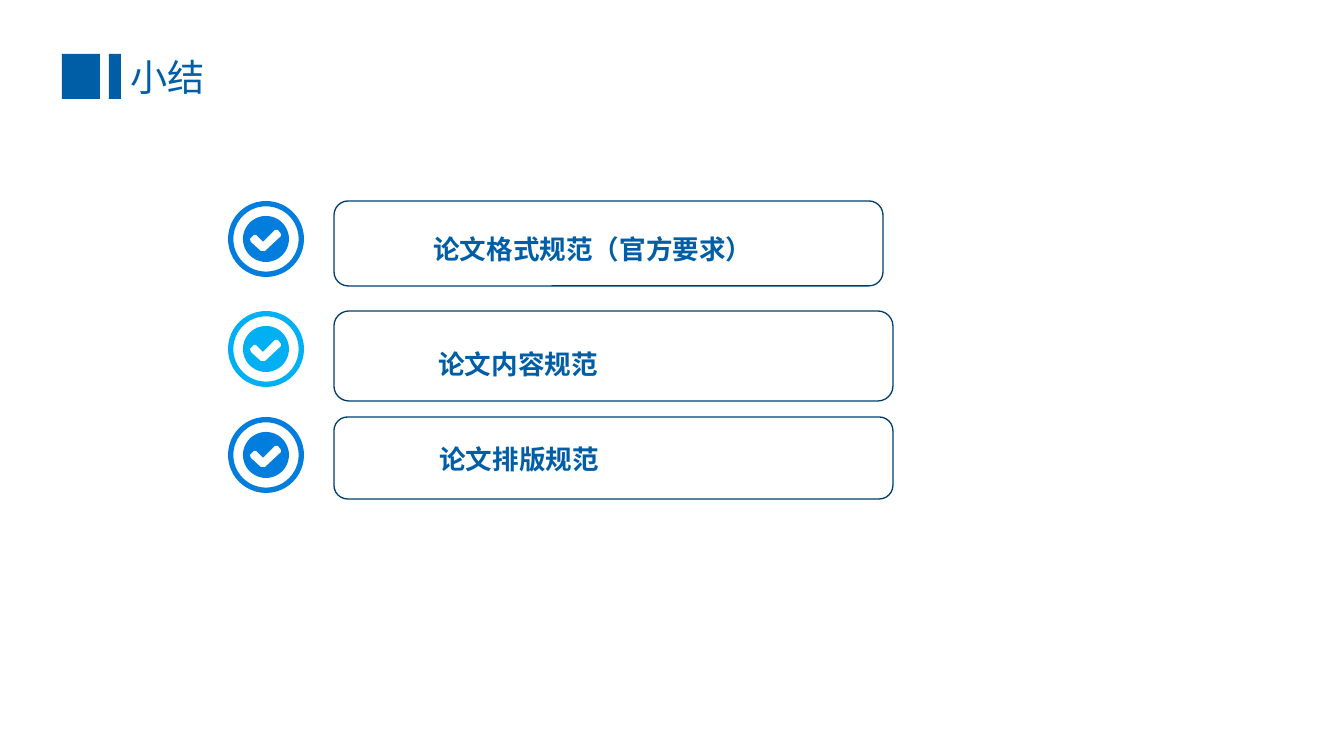
from pptx import Presentation
from pptx.dml.color import RGBColor
from pptx.enum.shapes import MSO_SHAPE as SHAPE
from pptx.enum.text import MSO_ANCHOR as ANCHOR, PP_ALIGN as ALIGN
from pptx.oxml.ns import qn
from pptx.util import Pt

PX = 9565  # EMU per px
FONT = "Noto Sans CJK SC"
COLORS = {
    "title": "005EA6",
    "blue": "007DDD",
    "sky": "00B0F2",
    "outline": "003E6E",
    "white": "FFFFFF",
}
ICON_LEFT, ICON_SIZE, DISC_INSET = 228, 76, 15
CARD_LEFT = 334

# Tick outline, relative to the centre of the icon
TICK = [(15, -5), (12, -9), (9, -9), (-3, 3), (-10, -4), (-12, -4),
        (-16, 0), (-15, 3), (-5, 12), (-1, 12), (15, -3)]

# Top, icon colour, card size, label, label box
ITEMS = [
    (201, "blue", (549, 85), "论文格式规范（官方要求）", (424, 222, 438, 43)),
    (311, "sky", (559, 90), "论文内容规范", (429, 337, 431, 45)),
    (417, "blue", (559, 82), "论文排版规范", (430, 432, 182, 43)),
]


def rgb(name):
    return RGBColor.from_string(COLORS[name])


def paint(s, fill=None, line=None):
    s.shadow.inherit = False
    if fill:
        s.fill.solid()
        s.fill.fore_color.rgb = rgb(fill)
    else:
        s.fill.background()
    if line:
        s.line.color.rgb = rgb(line)
        s.line.width = Pt(1)
    else:
        s.line.fill.background()


def add_shape(slide, kind, box, fill=None, line=None):
    s = slide.shapes.add_shape(kind, *(v * PX for v in box))
    paint(s, fill, line)
    return s


def write(tf, text, size, bold=False, align=ALIGN.LEFT, spacing=1.0):
    tf.word_wrap = True
    tf.vertical_anchor = ANCHOR.TOP
    p = tf.paragraphs[0]
    p.text = text
    p.alignment = align
    p.line_spacing = spacing
    p.font.size = Pt(size)
    p.font.bold = bold
    p.font.color.rgb = rgb("title")
    p.font.name = FONT
    # East Asian typeface
    props = p._p.pPr.find(qn("a:defRPr"))
    ea = props.makeelement(qn("a:ea"), {"typeface": FONT})
    props.find(qn("a:latin")).addnext(ea)


def add_title(slide, text):
    s = slide.shapes.title
    s.left, s.top, s.width, s.height = (v * PX for v in (121, 50, 507, 54))
    write(s.text_frame, text, 28)
    for left, width in ((62, 38), (109, 12)):
        add_shape(slide, SHAPE.RECTANGLE, (left, 54, width, 45), "title")


def add_icon(slide, top, color):
    ring = add_shape(slide, SHAPE.DONUT,
                     (ICON_LEFT, top, ICON_SIZE, ICON_SIZE), color)
    ring.adjustments[0] = 0.07
    disc = ICON_SIZE - 2 * DISC_INSET
    add_shape(slide, SHAPE.OVAL,
              (ICON_LEFT + DISC_INSET, top + DISC_INSET, disc, disc), color)
    # White tick
    cx, cy = ICON_LEFT + ICON_SIZE // 2, top + ICON_SIZE // 2
    points = [(cx + x, cy + y) for x, y in TICK]
    builder = slide.shapes.build_freeform(*points[0], scale=PX)
    builder.add_line_segments(points[1:], close=True)
    paint(builder.convert_to_shape(), "white")


def add_label(slide, text, box):
    s = slide.shapes.add_textbox(*(v * PX for v in box))
    write(s.text_frame, text, 20, True, ALIGN.JUSTIFY, 1.2)


def main():
    prs = Presentation()
    prs.slide_width, prs.slide_height = 1344 * PX, 756 * PX
    slide = prs.slides.add_slide(prs.slide_layouts[5])

    # Heading
    add_title(slide, "小结")

    # Checklist
    for top, color, size, text, box in ITEMS:
        add_icon(slide, top, color)
        add_shape(slide, SHAPE.ROUNDED_RECTANGLE,
                  (CARD_LEFT, top, *size), line="outline")
        add_label(slide, text, box)

    prs.save("out.pptx")


if __name__ == "__main__":
    main()
